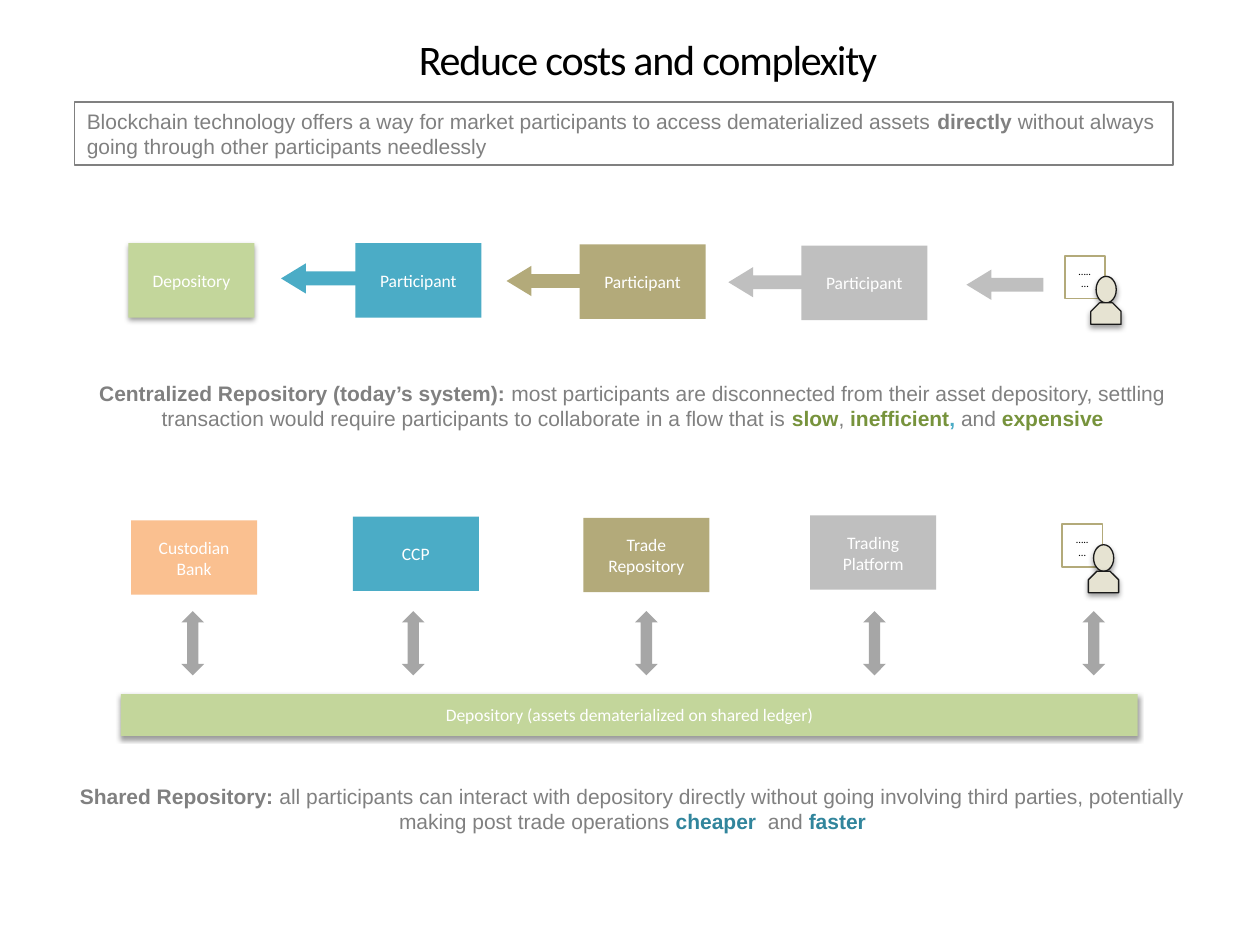
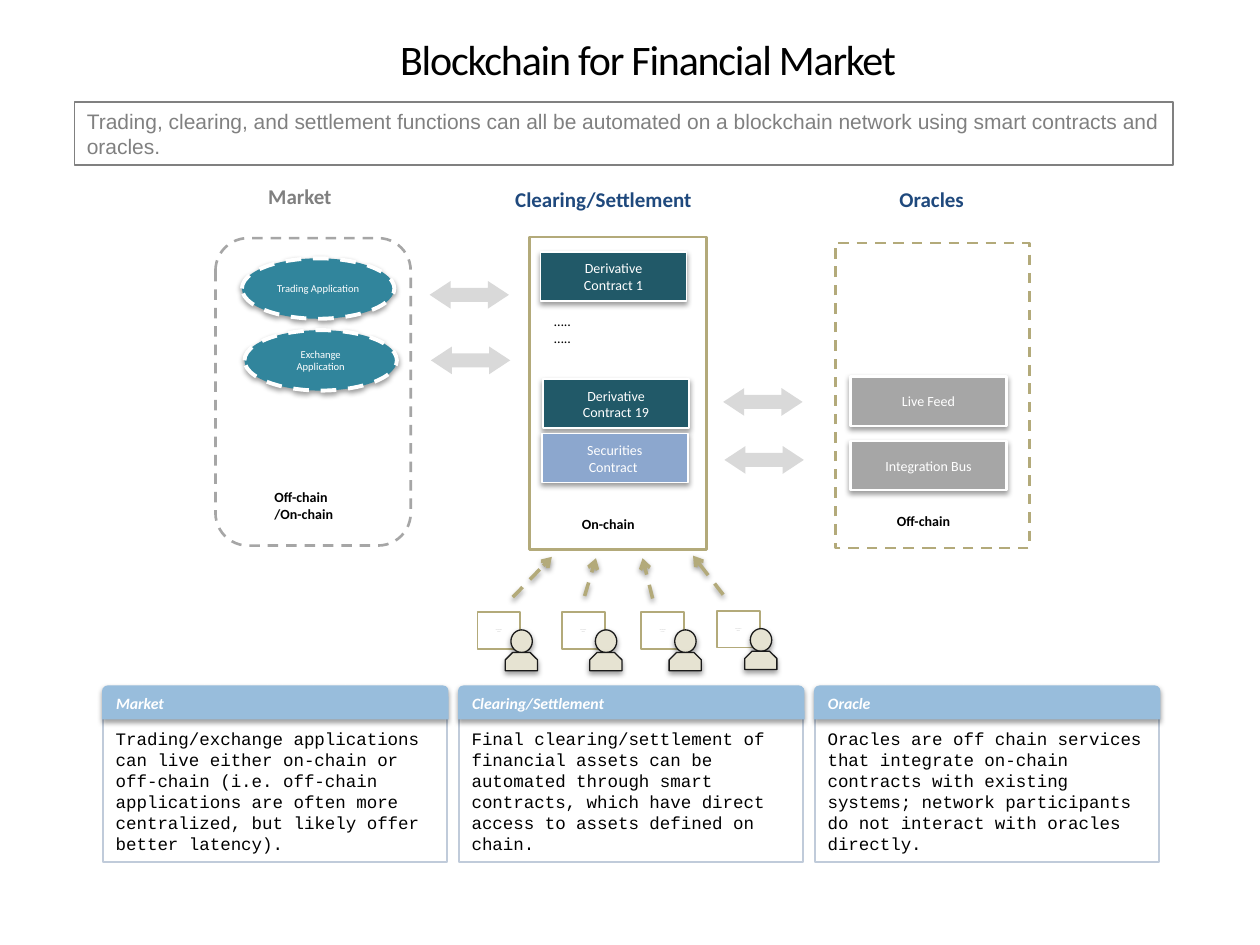
import lxml.etree
import pptx
import pptx.dml.color
import pptx.enum.dml
import pptx.enum.shapes
import pptx.enum.text
import pptx.oxml.ns
import pptx.util

RGB = pptx.dml.color.RGBColor
SHAPE = pptx.enum.shapes.MSO_SHAPE
DASH = pptx.enum.dml.MSO_LINE.DASH
LEFT = pptx.enum.text.PP_ALIGN.LEFT
CENTER = pptx.enum.text.PP_ALIGN.CENTER
TOP = pptx.enum.text.MSO_ANCHOR.TOP
MIDDLE = pptx.enum.text.MSO_ANCHOR.MIDDLE
qn = pptx.oxml.ns.qn

BLACK = RGB(0x00, 0x00, 0x00)
WHITE = RGB(0xFF, 0xFF, 0xFF)
GRAY = RGB(0x80, 0x80, 0x80)
MID_GRAY = RGB(0xA6, 0xA6, 0xA6)
SILVER = RGB(0xBF, 0xBF, 0xBF)
PALE_GRAY = RGB(0xD9, 0xD9, 0xD9)
AQUA = RGB(0x4B, 0xAC, 0xC6)
TEAL = RGB(0x31, 0x85, 0x9C)
DARK_TEAL = RGB(0x21, 0x59, 0x68)
KHAKI = RGB(0xB3, 0xAA, 0x7A)
LIGHT_GREEN = RGB(0xC3, 0xD6, 0x9B)
GREEN = RGB(0x77, 0x93, 0x3C)
PEACH = RGB(0xFA, 0xC0, 0x90)
NAVY = RGB(0x1F, 0x49, 0x7D)
PERIWINKLE = RGB(0x8C, 0xA7, 0xCE)
CARD_BLUE = RGB(0x98, 0xBD, 0xDC)
CARD_EDGE = RGB(0xC0, 0xCB, 0xDA)
SKIN = RGB(0xE6, 0xE3, 0xD2)
INK = RGB(0x1A, 0x1A, 0x1A)

prs = pptx.Presentation()
prs.slide_width = pptx.util.Inches(10)
prs.slide_height = pptx.util.Inches(7.5)
COL = prs.slide_width / 100  # the slide is a grid of 100 columns by 75 rows
ROW = prs.slide_height / 75


def cast_shadow(sp):
    """Drop a soft black shadow straight down; call after the line is set."""
    effects = lxml.etree.SubElement(sp.element.spPr, qn("a:effectLst"))
    outer = lxml.etree.SubElement(effects, qn("a:outerShdw"), blurRad="39370", dist="20320",
                                  dir="5400000", rotWithShape="0")
    color = lxml.etree.SubElement(outer, qn("a:srgbClr"), val="000000")
    lxml.etree.SubElement(color, qn("a:alpha"), val="38000")


def put(s, kind, x, y, w, h, text="", size=10, color=WHITE, fill=None, line=None, weight=1,
        dash=None, shadow=False, adj=(), font="Calibri", bold=False, align=CENTER,
        anchor=MIDDLE, wrap=True):
    """Add a shape, or a text box if kind is None; text may be a list of (text, color, bold)."""
    box = [int(v) for v in (x * COL, y * ROW, w * COL, h * ROW)]
    if kind is None:
        sp = s.shapes.add_textbox(*box)
    else:
        sp = s.shapes.add_shape(kind, *box)
        for i, value in enumerate(adj):
            sp.adjustments[i] = value
        if fill is None:
            sp.fill.background()
        else:
            sp.fill.solid()
            sp.fill.fore_color.rgb = fill
        if line is None:
            sp.line.fill.background()
        else:
            sp.line.color.rgb = line
            sp.line.width = pptx.util.Pt(weight)
            if dash:
                sp.line.dash_style = dash
        if shadow:
            cast_shadow(sp)
        else:
            sp.shadow.inherit = False
    tf = sp.text_frame
    tf.word_wrap = wrap
    tf.vertical_anchor = anchor
    if isinstance(text, str):
        tf.text = text
        looks = [(color, bold)] * len(tf.paragraphs)
    else:
        for piece, *_ in text:
            tf.paragraphs[0].add_run().text = piece
        looks = [look for _, *look in text]
    for p in tf.paragraphs:
        p.alignment = align
    runs = [r for p in tf.paragraphs for r in p.runs]
    for r, (run_color, run_bold) in zip(runs, looks):
        r.font.name = font
        r.font.size = pptx.util.Pt(size)
        r.font.color.rgb = run_color
        r.font.bold = run_bold
    return sp


# Both slides: title and framed message
headings = [
    ("Reduce costs and complexity ", [
        ("Blockchain technology offers a way for market participants to access "
         "dematerialized assets ", GRAY, False),
        ("directly ", GRAY, True),
        ("without always going through other participants needlessly", GRAY, False)]),
    ("Blockchain for Financial Market ", [
        ("Trading, clearing, and settlement functions can all be automated on a blockchain "
         "network using smart contracts and oracles.", GRAY, False)]),
]
slides = []
for title, message in headings:
    s = prs.slides.add_slide(prs.slide_layouts[6])
    slides.append(s)
    sp = put(s, None, 5, 2.2, 93.5, 5, title, 24, BLACK)
    sp.text_frame.margin_left = sp.text_frame.margin_right = 0
    sp.text_frame.paragraphs[0].runs[0].font._element.set("spc", "-70")
    put(s, SHAPE.RECTANGLE, 5.9, 8.1, 87.2, 5, message, 12, line=GRAY, weight=0.75,
        font="Arial", align=LEFT, anchor=TOP)
costs, market = slides

# Slide 1: today's chain of participants above the shared ledger
nodes = [
    ("Depository", 10.2, 19.3, LIGHT_GREEN),
    ("Participant", 28.2, 19.3, AQUA),
    ("Participant", 46, 19.4, KHAKI),
    ("Participant", 63.6, 19.5, SILVER),
    ("Custodian Bank", 10.4, 41.3, PEACH),
    ("CCP", 28, 41, AQUA),
    ("Trade Repository", 46.3, 41.1, KHAKI),
    ("Trading Platform", 64.3, 40.9, SILVER),
]
for x, y, color in [(22.3, 20.9, AQUA), (40.2, 21.1, KHAKI), (57.8, 21.2, SILVER),
                    (76.7, 21.4, SILVER)]:
    arrow = put(costs, SHAPE.RIGHT_ARROW, x, y, 6.1, 2.4, fill=color, adj=(0.46, 0.82))
    arrow.rotation = 180
for name, x, y, color in nodes:
    put(costs, SHAPE.ROUNDED_RECTANGLE, x, y, 10, 5.9, name, fill=color, adj=(0,),
        shadow=name == "Depository")
for x in (14.4, 31.9, 50.4, 68.5, 85.9):
    put(costs, SHAPE.UP_DOWN_ARROW, x, 48.5, 1.8, 5.1, fill=MID_GRAY)
put(costs, SHAPE.ROUNDED_RECTANGLE, 9.6, 55.1, 80.7, 3.3,
    "Depository (assets dematerialized on shared ledger)", fill=LIGHT_GREEN, adj=(0,), shadow=True)

captions = [
    (29.7, [
        ("Centralized Repository (today’s system):", GRAY, True),
        (" most participants are disconnected from their asset depository, settling transaction "
         "would require participants to collaborate in a flow that is ", GRAY, False),
        ("slow", GREEN, True), (", ", GRAY, False), ("inefficient", GREEN, True),
        (",", AQUA, True), (" and ", GRAY, False), ("expensive", GREEN, True)]),
    (61.7, [
        ("Shared Repository: ", GRAY, True),
        ("all participants can interact with depository directly without going involving third "
         "parties, potentially making post trade operations ", GRAY, False),
        ("cheaper", TEAL, True), ("  and ", GRAY, False), ("faster", TEAL, True)]),
]
for y, runs in captions:
    put(costs, None, 4.9, y, 90.6, 5, runs, 12, font="Arial", anchor=TOP)

# Slide 2: three zones, their contents and labels
put(market, SHAPE.ROUNDED_RECTANGLE, 17.1, 18.9, 15.5, 24.4, fill=WHITE, line=MID_GRAY,
    weight=1.5, dash=DASH)
put(market, SHAPE.RECTANGLE, 42, 18.8, 14.1, 24.8, line=KHAKI, weight=1.5)
put(market, SHAPE.RECTANGLE, 66.3, 19.3, 15.4, 24.2, line=KHAKI, weight=1.5, dash=DASH)

labels = [
    ("Market", 20.3, 14.1, 7.2, 3, 12, GRAY, True),
    ("Clearing/Settlement", 39.9, 14.3, 16.2, 3, 12, NAVY, True),
    ("Oracles", 70.4, 14.3, 7.2, 3, 12, NAVY, True),
    ("Off-chain\n/On-chain", 20.8, 38.3, 6.7, 3.7, 8, BLACK, True),
    ("On-chain", 45.2, 40.4, 6.2, 2.4, 8, BLACK, True),
    ("Off-chain", 70.2, 40.2, 6.3, 2.4, 8, BLACK, True),
    ("…..\n…..", 43, 24.3, 5, 3.7, 8, BLACK, False),
]
for text, x, y, w, h, size, color, bold in labels:
    put(market, None, x, y, w, h, text, size, color, bold=bold, align=LEFT, anchor=TOP, wrap=False)

for text, x, y in [("Trading Application", 19.2, 20.5), ("Exchange\nApplication", 19.4, 26.2)]:
    put(market, SHAPE.OVAL, x, y, 12.1, 4.8, text, 6, fill=TEAL, line=WHITE, weight=2.25,
        dash=DASH, shadow=True, wrap=False)
blocks = [
    ("Derivative\nContract 1", 42.9, 20, 11.6, DARK_TEAL, 1),
    ("Derivative\nContract 19", 43.1, 30.1, 11.6, DARK_TEAL, 1),
    ("Securities\nContract ", 43, 34.4, 11.6, PERIWINKLE, 1),
    ("Live Feed", 67.5, 29.9, 12.4, MID_GRAY, 1.5),
    ("Integration Bus", 67.5, 35, 12.4, MID_GRAY, 1.5),
]
for text, x, y, w, color, weight in blocks:
    put(market, SHAPE.RECTANGLE, x, y, w, 3.9, text, 8, fill=color, line=WHITE, weight=weight,
        shadow=True)
for x, y in [(34.1, 22.3), (34.2, 27.5), (57.4, 30.8), (57.5, 35.4)]:
    put(market, SHAPE.LEFT_RIGHT_ARROW, x, y, 6.3, 2.2, fill=PALE_GRAY, adj=(0.5, 0.76))

for x1, y1, x2, y2 in [(40.7, 47.4, 43.8, 44.2), (46.4, 47.3, 47.3, 44.3),
                       (51.8, 47.5, 51, 44.3), (57.4, 47.2, 55, 44.1)]:
    cx = market.shapes.add_connector(pptx.enum.shapes.MSO_CONNECTOR.STRAIGHT, int(x1 * COL),
                                     int(y1 * ROW), int(x2 * COL), int(y2 * ROW))
    cx.line.color.rgb = KHAKI
    cx.line.width = pptx.util.Pt(2)
    cx.line.dash_style = DASH
    lxml.etree.SubElement(cx.get_or_add_ln(), qn("a:tailEnd"), type="arrow")
    cast_shadow(cx)

cards = [
    ("Market", "Trading/exchange applications can live either on-chain or off-chain (i.e. "
     "off-chain applications are often more centralized, but likely offer better latency)."),
    ("Clearing/Settlement", "Final clearing/settlement of financial assets can be automated "
     "through smart contracts, which have direct access to assets defined on chain."),
    ("Oracle", "Oracles are off chain services that integrate on-chain contracts with existing "
     "systems; network participants do not interact with oracles directly."),
]
for i, (heading, body) in enumerate(cards):
    x = 8.1 + i * 28.25
    sp = put(market, SHAPE.RECTANGLE, x + 0.1, 55.6, 27.3, 12.8, body, 10, BLACK, fill=WHITE,
             line=CARD_EDGE, font="Courier New", align=LEFT, anchor=TOP)
    sp.text_frame.margin_top = int(2.2 * ROW)
    fill_color = sp.element.spPr.find(qn("a:solidFill"))[0]
    lxml.etree.SubElement(fill_color, qn("a:alpha"), val="70000")
    sp = put(market, SHAPE.ROUND_2_SAME_RECTANGLE, x, 54.4, 27.5, 2.7, heading, 9,
             fill=CARD_BLUE, shadow=True, bold=True, align=LEFT)
    sp.text_frame.paragraphs[0].runs[0].font.italic = True

# Both slides: people holding a note, scaled to the note's size
people = [(costs, x, y, 3.2, 3.4, "…..…", 6) for x, y in [(84.5, 20.3), (84.3, 41.6)]]
people += [(market, x, y, 3.4, 2.9, "…..….…….\n……...", 1)
           for x, y in [(37.9, 48.6), (44.6, 48.6), (50.9, 48.6), (56.9, 48.5)]]
for s, x, y, w, h, text, size in people:
    put(s, SHAPE.RECTANGLE, x, y, w, h, text, size, BLACK, fill=WHITE, line=KHAKI)
    put(s, SHAPE.OVAL, x + 0.78 * w, y + 0.48 * h, 0.5 * w, 0.62 * h, fill=SKIN, line=INK,
        weight=0.75, shadow=True)
    put(s, SHAPE.SNIP_2_SAME_RECTANGLE, x + 0.65 * w, y + 1.1 * h, 0.75 * w, 0.5 * h, fill=SKIN,
        line=INK, weight=0.75, shadow=True, adj=(0.4, 0))

prs.save("out.pptx")
